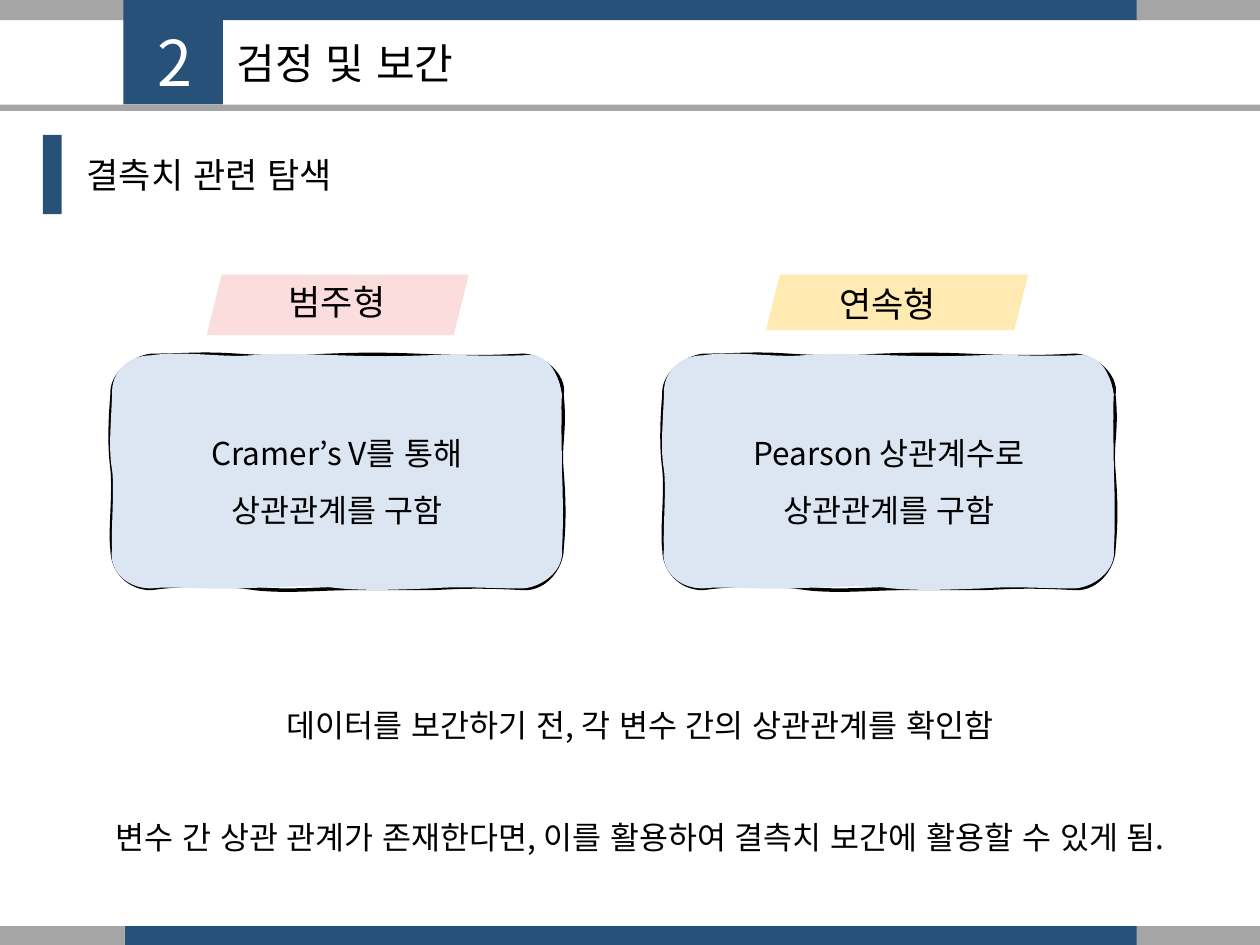
"""Build the slide on checking correlations before filling in missing values."""
from lxml import etree
from pptx import Presentation
from pptx import util as u
from pptx.dml.color import RGBColor
from pptx.enum import lang, shapes, text
from pptx.oxml.ns import qn

NAVY = RGBColor(0x28, 0x51, 0x7A)
GREY = RGBColor(0xA5, 0xA5, 0xA5)
PALE = RGBColor(0xDC, 0xE6, 0xF2)
PINK = RGBColor(0xFB, 0xDD, 0xDD)
GOLD = RGBColor(0xFF, 0xC0, 0x00)
BLACK = RGBColor(0, 0, 0)
WHITE = RGBColor(0xFF, 0xFF, 0xFF)
FONT = "Noto Sans CJK KR"
RECT = shapes.MSO_SHAPE.RECTANGLE
SLANT = shapes.MSO_SHAPE.PARALLELOGRAM
LEFT, MID = text.PP_ALIGN.LEFT, text.PP_ALIGN.CENTER
TOP, CORE = text.MSO_ANCHOR.TOP, text.MSO_ANCHOR.MIDDLE

deck = Presentation()
deck.slide_width, deck.slide_height = u.Inches(10), u.Inches(7.5)
page = deck.slides.add_slide(deck.slide_layouts[6])


def block(kind, x, y, w, h, tint):
    item = page.shapes.add_shape(kind, *map(u.Inches, (x, y, w, h)))
    item.shadow.inherit = False
    item.fill.solid()
    item.fill.fore_color.rgb = tint
    item.line.fill.background()
    return item


def write(item, lines, size, tint=BLACK, align=LEFT, anchor=TOP, space=1.0, gap=0):
    frame = item.text_frame
    frame.word_wrap = True
    frame.vertical_anchor = anchor
    for i, line in enumerate(lines):
        para = frame.add_paragraph() if i else frame.paragraphs[0]
        para.alignment = align
        para.line_spacing = space
        if i and gap:
            para.space_before = u.Pt(gap)
        run = para.add_run()
        run.text = line
        run.font.size = u.Pt(size)
        run.font.color.rgb = tint
        run.font.name = FONT
        run.font.language_id = lang.MSO_LANGUAGE_ID.KOREAN
        latin = run.font._element.find(qn("a:latin"))
        latin.addnext(etree.Element(qn("a:ea"), typeface=FONT))


for y, h in ((0, 0.16), (7.35, 0.15)):
    block(RECT, 0.99, y, 8.06, h, NAVY)
    block(RECT, 0, y, 0.99, h, GREY)
    block(RECT, 9.02, y, 0.98, h, GREY)
block(RECT, 0.98, 0, 0.79, 0.83, NAVY)
block(RECT, 0, 0.83, 10, 0.05, GREY)
block(RECT, 0.34, 1.07, 0.15, 0.63, NAVY)

WIDE, HIGH = 357, 185
START = (0, 31)
EDGE = (
    (-1, 15, 16, 2, 31, 0), (59, 0, 69, -2, 99, 0), (128, 2, 149, 1, 173, 0),
    (197, -1, 216, -1, 241, 0), (265, 1, 290, 2, 326, 0), (341, 0, 360, 16, 357, 31),
    (360, 61, 355, 68, 357, 92), (359, 117, 359, 133, 357, 154),
    (357, 167, 345, 186, 326, 185), (292, 183, 273, 184, 255, 185),
    (238, 185, 215, 185, 190, 185), (165, 185, 139, 188, 113, 185),
    (87, 181, 51, 182, 31, 185), (13, 185, 0, 171, 0, 154),
    (-2, 139, 2, 111, 0, 90), (-3, 69, -1, 43, 0, 31),
)
BODY = (
    (-1, 13, 13, 0, 31, 0), (56, -4, 88, 2, 110, 0), (133, -2, 151, -1, 181, 0),
    (212, 1, 221, 1, 249, 0), (277, -1, 288, 1, 326, 0), (345, -3, 354, 13, 357, 31),
    (356, 48, 357, 72, 357, 92), (358, 112, 358, 142, 357, 154),
    (359, 171, 341, 184, 326, 185), (296, 185, 281, 183, 252, 185),
    (224, 186, 205, 187, 181, 185), (158, 182, 130, 184, 102, 185),
    (73, 186, 47, 183, 31, 185), (10, 185, -3, 169, 0, 154),
    (-1, 139, 2, 107, 0, 91), (-3, 75, -1, 56, 0, 31),
)
for x, head in ((0.89, "Cramer’s V를 통해"), (5.27, "Pearson 상관계수로")):
    pen = page.shapes.build_freeform(0, 0, scale=u.Inches(0.01))
    pen.add_line_segments(((WIDE, 0), (WIDE, HIGH), (0, HIGH)))
    card = pen.convert_to_shape(u.Inches(x), u.Inches(2.82))
    paths = next(card._element.iter(qn("a:pathLst")))
    paths.remove(paths[0])
    for curves, look in ((EDGE, {"fill": "none"}), (BODY, {"stroke": "0"})):
        path = etree.SubElement(paths, qn("a:path"), w=str(WIDE), h=str(HIGH), **look)
        for row in (START, *curves):
            name = "a:moveTo" if row is START else "a:cubicBezTo"
            step = etree.SubElement(path, qn(name))
            for px, py in zip(row[::2], row[1::2]):
                etree.SubElement(step, qn("a:pt"), x=str(px), y=str(py))
        etree.SubElement(path, qn("a:close"))
    card.shadow.inherit = False
    card.fill.solid()
    card.fill.fore_color.rgb = PALE
    card.line.color.rgb = BLACK
    card.line.width = u.Pt(2)
    write(card, (head, "상관관계를 구함"), 18, align=MID, anchor=CORE, space=1.5)

for x, h, tint in ((6.08, 0.44, GOLD), (1.64, 0.48, PINK)):
    tag = block(SLANT, x, 2.18, 2.08, h, tint)
    tag.adjustments[0] = 0.25
    if tint == GOLD:
        shade = tag.fill._xPr.find(qn("a:solidFill"))[0]
        etree.SubElement(shade, qn("a:alpha"), val="30000")

labels = (
    ((1.15, 0.14, 0.45, 0.62), ("2",), 36, {"tint": WHITE}),
    ((0.59, 1.17, 4.27, 0.44), ("결측치 관련 탐색",), 20, {}),
    ((6.28, 2.19, 1.53, 0.44), ("연속형",), 20, {"align": MID}),
    ((1.91, 2.18, 1.53, 0.44), ("범주형",), 20, {"align": MID}),
    ((0.07, 5.4, 10.02, 1.42),
     ("데이터를 보간하기 전, 각 변수 간의 상관관계를 확인함",
      "변수 간 상관 관계가 존재한다면, 이를 활용하여 결측치 보간에 활용할 수 있게 됨."),
     18, {"align": MID, "space": 1.5, "gap": 32}),
    ((1.78, 0.14, 6.28, 0.72), ("검정 및 보간",), 24, {"anchor": CORE}),
)
for area, lines, size, look in labels:
    write(page.shapes.add_textbox(*map(u.Inches, area)), lines, size, **look)

deck.save("out.pptx")
